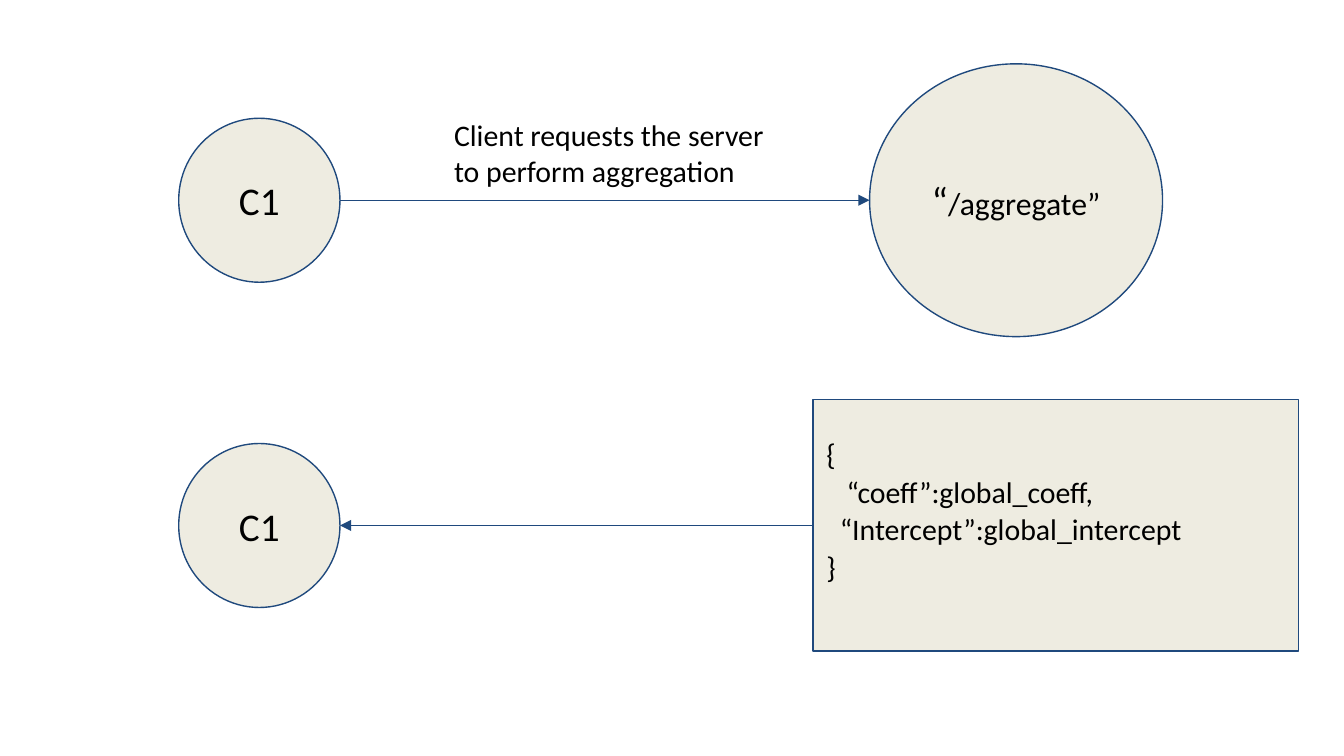
from dataclasses import dataclass

from lxml import etree
from pptx import Presentation
from pptx.dml.color import RGBColor
from pptx.enum import shapes, text
from pptx.oxml import ns
from pptx.util import Inches, Pt


@dataclass(frozen=True)
class Theme:
    font: str = "Calibri"
    ink: RGBColor = RGBColor(0x00, 0x00, 0x00)
    fill: RGBColor = RGBColor(0xEE, 0xEC, 0xE1)
    outline: RGBColor = RGBColor(0x1F, 0x49, 0x7D)
    outline_width: float = 0.75
    node_size: int = 21
    endpoint_size: int = 17
    body_size: int = 16


THEME = Theme()
SLIDE_WIDTH = 10
CLIENT_LEFT, CLIENT_WIDTH, CLIENT_HEIGHT = 1.33, 1.2, 1.22


def style_font(font, size):
    font.name = THEME.font
    font.size = Pt(size)
    font.color.rgb = THEME.ink


def set_insets(frame, inset=0.1):
    frame.margin_left = frame.margin_right = Inches(inset)
    frame.margin_top = frame.margin_bottom = Inches(inset)
    frame.word_wrap = True


def add_node(slide, preset, left, top, width, height):
    node = slide.shapes.add_shape(
        preset, Inches(left), Inches(top), Inches(width), Inches(height))
    node.shadow.inherit = False
    node.fill.solid()
    node.fill.fore_color.rgb = THEME.fill
    node.line.color.rgb = THEME.outline
    node.line.width = Pt(THEME.outline_width)
    set_insets(node.text_frame)
    node.text_frame.vertical_anchor = text.MSO_ANCHOR.MIDDLE
    return node


def add_circle(slide, left, top, width, height, label_parts):
    circle = add_node(slide, shapes.MSO_SHAPE.OVAL, left, top, width, height)
    label = circle.text_frame.paragraphs[0]
    label.alignment = text.PP_ALIGN.CENTER
    for words, size in label_parts:
        part = label.add_run()
        part.text = words
        style_font(part.font, size)


def add_client(slide, middle):
    add_circle(slide, CLIENT_LEFT, middle - CLIENT_HEIGHT / 2,
               CLIENT_WIDTH, CLIENT_HEIGHT, [("C1", THEME.node_size)])
    return CLIENT_LEFT + CLIENT_WIDTH


def add_arrow(slide, start, end, middle):
    arrow = slide.shapes.add_connector(
        shapes.MSO_CONNECTOR.STRAIGHT,
        Inches(start), Inches(middle), Inches(end), Inches(middle))
    arrow.line.color.rgb = THEME.outline
    arrow.line.width = Pt(THEME.outline_width)
    etree.SubElement(arrow.line._get_or_add_ln(), ns.qn("a:tailEnd"), type="triangle")
    etree.SubElement(arrow._element.spPr, ns.qn("a:effectLst"))


def add_caption(slide, left, top, width, height, words):
    caption = slide.shapes.add_textbox(
        Inches(left), Inches(top), Inches(width), Inches(height))
    set_insets(caption.text_frame)
    sentence = caption.text_frame.paragraphs[0]
    sentence.text = words
    style_font(sentence.font, THEME.body_size)


def add_json_reply(slide, left, top, width, height, indented_lines):
    reply = add_node(slide, shapes.MSO_SHAPE.RECTANGLE, left, top, width, height)
    frame = reply.text_frame
    frame.margin_bottom = Inches(0.33)
    for index, (indent, words) in enumerate(indented_lines):
        line = frame.add_paragraph() if index else frame.paragraphs[0]
        line.text = words
        line.alignment = text.PP_ALIGN.LEFT
        line.space_before = Pt(1)
        line._p.get_or_add_pPr().set("marL", str(Inches(indent)))
        style_font(line.font, THEME.body_size)


def add_request(slide, middle):
    client_edge = add_client(slide, middle)
    server_left, server_width, server_height = 6.47, 2.18, 2.03
    add_circle(slide, server_left, middle - server_height / 2,
               server_width, server_height,
               [("“", THEME.node_size), ("/aggregate”", THEME.endpoint_size)])
    add_arrow(slide, client_edge, server_left, middle)
    add_caption(slide, 3.28, middle - 0.72, 2.62, 0.49,
                "Client requests the server to perform aggregation")


def add_response(slide, middle):
    client_edge = add_client(slide, middle)
    reply_left, reply_width, reply_height = 6.05, 3.61, 1.87
    add_json_reply(slide, reply_left, middle - reply_height / 2,
                   reply_width, reply_height,
                   [(0, "{"),
                    (0.15, "“coeff”:global_coeff,"),
                    (0.1, "“Intercept”:global_intercept"),
                    (0, "}")])
    add_arrow(slide, reply_left, client_edge, middle)


def main():
    deck = Presentation()
    deck.slide_width = Inches(SLIDE_WIDTH)
    deck.slide_height = Inches(SLIDE_WIDTH * 9 / 16)
    slide = deck.slides.add_slide(deck.slide_layouts.get_by_name("Blank"))
    add_request(slide, 1.49)
    add_response(slide, 3.91)
    deck.save("out.pptx")


if __name__ == "__main__":
    main()
